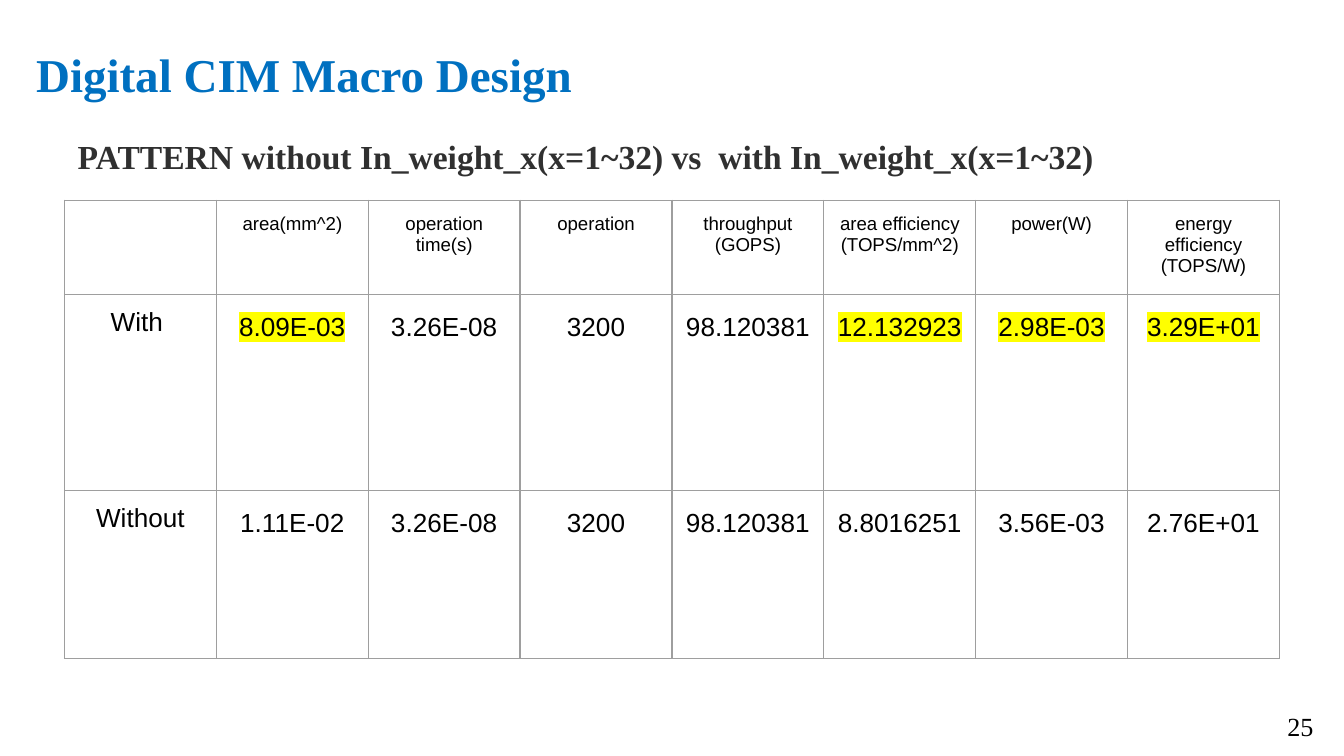
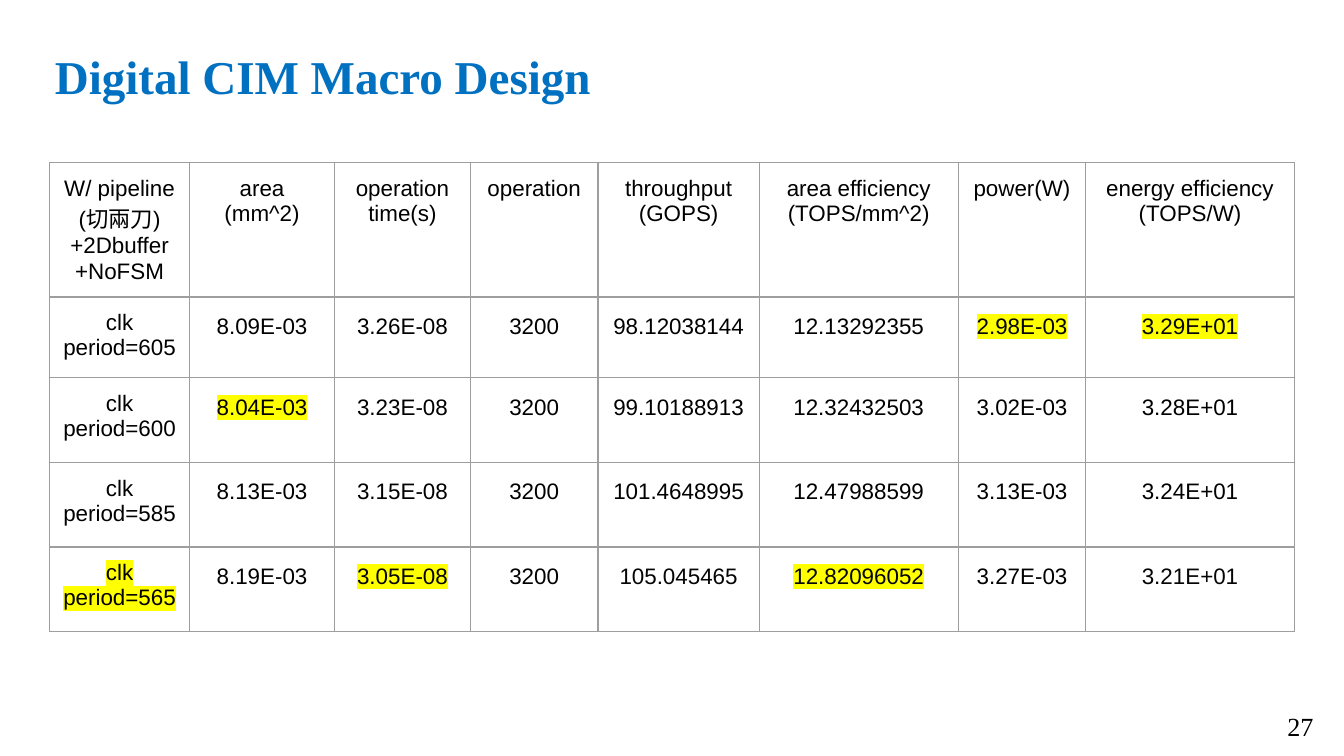
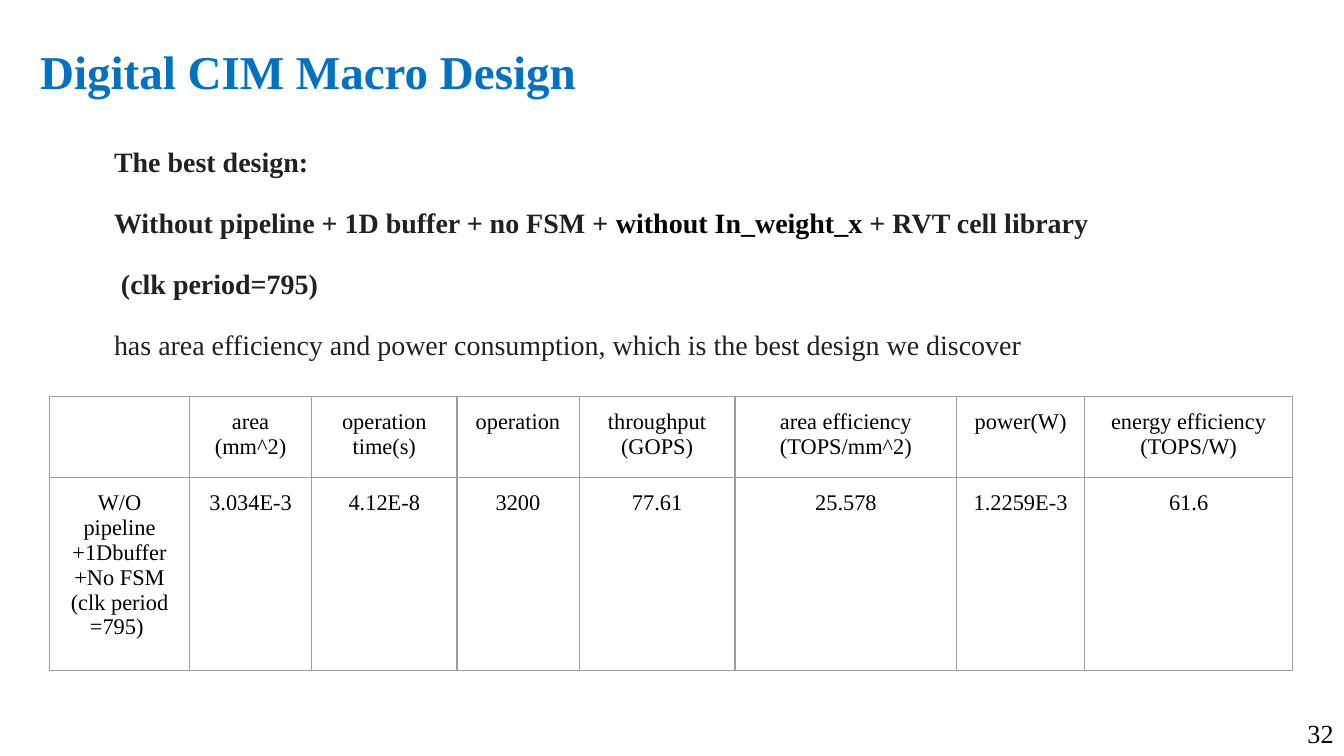
from dataclasses import dataclass
from typing import Optional

from lxml.etree import SubElement
from pptx import Presentation
from pptx.dml.color import RGBColor
from pptx.enum.text import MSO_ANCHOR as Anchor, PP_ALIGN as Align
from pptx.oxml import parse_xml
from pptx.oxml.ns import nsdecls, qn
from pptx.slide import Slide
from pptx.table import _Cell as Cell
from pptx.text.text import TextFrame, _Paragraph as Paragraph
from pptx.util import Inches, Pt

TITLE_BLUE = RGBColor(0x00, 0x70, 0xC0)
SUBTITLE_GREY = RGBColor(0x30, 0x30, 0x30)
BODY_GREY = RGBColor(0x21, 0x21, 0x21)
NEAR_BLACK = RGBColor(0x05, 0x05, 0x05)
BLACK = RGBColor(0x00, 0x00, 0x00)
WHITE = RGBColor(0xFF, 0xFF, 0xFF)
YELLOW = RGBColor(0xFF, 0xFF, 0x00)
GRID_GREY = RGBColor(0x9E, 0x9E, 0x9E)

SERIF = "Times New Roman"
SANS = "Arial"
TITLE = "Digital CIM Macro Design"
SLIDE_WIDTH = Inches(10)
SLIDE_HEIGHT = SLIDE_WIDTH * 9 // 16
PADDING = Inches(0.1)
GRID_WIDTH = Pt(0.75)

METRICS = ("operation time(s)", "operation", "throughput\n(GOPS)",
           "area efficiency\n(TOPS/mm^2)", "power(W)", "energy efficiency\n(TOPS/W)")


@dataclass(frozen=True)
class Style:
    size: float
    color: RGBColor = BLACK
    font: str = SERIF
    bold: bool = False
    highlight: Optional[RGBColor] = None


@dataclass(frozen=True)
class Box:
    left: float
    top: float
    width: float
    height: float


@dataclass(frozen=True)
class ResultTable:
    box: Box
    columns: tuple[float, ...]
    rows: tuple[float, ...]
    cells: tuple[tuple[str, ...], ...]
    font: str
    header_size: float
    body_size: float
    value_spacing: Optional[float] = None
    highlighted: frozenset[tuple[int, int]] = frozenset()
    near_black: frozenset[tuple[int, int]] = frozenset()


@dataclass(frozen=True)
class Page:
    number: str
    title_left: float
    title_top: float
    table: ResultTable
    number_left: float = 9.48
    number_top: float = 5.24


def add_run(paragraph: Paragraph, text: str, style: Style) -> None:
    run = paragraph.add_run()
    run.text = text
    run.font.size = Pt(style.size)
    run.font.bold = style.bold
    run.font.color.rgb = style.color
    if style.highlight is not None:
        marker = SubElement(run.font._element, qn("a:highlight"))
        SubElement(marker, qn("a:srgbClr"), val=str(style.highlight))
    run.font.name = style.font


def next_paragraph(frame: TextFrame, index: int) -> Paragraph:
    return frame.add_paragraph() if index else frame.paragraphs[0]


def add_text_box(slide: Slide, box: Box, vertical_padding: float = 0.1) -> TextFrame:
    frame = slide.shapes.add_textbox(Inches(box.left), Inches(box.top),
                                     Inches(box.width), Inches(box.height)).text_frame
    frame.word_wrap = True
    frame.margin_left = frame.margin_right = PADDING
    frame.margin_top = frame.margin_bottom = Inches(vertical_padding)
    return frame


def draw_borders(cell: Cell) -> None:
    properties = cell._tc.get_or_add_tcPr()
    for position, side in enumerate(("lnL", "lnR", "lnT", "lnB")):
        properties.insert(position, parse_xml(
            f'<a:{side} {nsdecls("a")} w="{GRID_WIDTH}"><a:solidFill>'
            f'<a:srgbClr val="{GRID_GREY}"/></a:solidFill></a:{side}>'))


def fill_cell(cell: Cell, text: str, style: Style, spacing: Optional[float]) -> None:
    cell.margin_left = cell.margin_right = PADDING
    cell.margin_top = cell.margin_bottom = PADDING
    cell.fill.background()
    draw_borders(cell)
    for index, line in enumerate(text.splitlines()):
        paragraph = next_paragraph(cell.text_frame, index)
        paragraph.alignment = Align.CENTER
        paragraph.line_spacing = spacing
        add_run(paragraph, line, style)


def add_result_table(slide: Slide, results: ResultTable) -> None:
    box = results.box
    frame = slide.shapes.add_table(
        len(results.rows), len(results.columns), Inches(box.left), Inches(box.top),
        Inches(box.width), Inches(box.height))
    table = frame.table
    table.first_row = table.horz_banding = False
    for column, width in zip(table.columns, results.columns):
        column.width = Inches(width)
    for row, height in zip(table.rows, results.rows):
        row.height = Inches(height)
    frame.height = Inches(box.height)
    for r, texts in enumerate(results.cells):
        for c, text in enumerate(texts):
            style = Style(
                size=results.body_size if r else results.header_size,
                color=NEAR_BLACK if (r, c) in results.near_black else BLACK,
                font=results.font,
                highlight=YELLOW if (r, c) in results.highlighted else None)
            spacing = results.value_spacing if r and c else None
            fill_cell(table.cell(r, c), text, style, spacing)


def add_page(deck: Presentation, page: Page) -> Slide:
    slide = deck.slides.add_slide(deck.slide_layouts[6])
    slide.background.fill.solid()
    slide.background.fill.fore_color.rgb = WHITE
    title = add_text_box(slide, Box(page.title_left, page.title_top, 9.32, 0.63))
    title.vertical_anchor = Anchor.MIDDLE
    add_run(title.paragraphs[0], TITLE, Style(25.2, TITLE_BLUE, bold=True))
    add_result_table(slide, page.table)
    number = add_text_box(slide, Box(page.number_left, page.number_top, 0.63, 0.34), 0.05)
    add_run(number.paragraphs[0], page.number, Style(14))
    return slide


WEIGHT_INPUT = ResultTable(
    box=Box(0.48, 1.49, 9.05, 3.41),
    columns=(1.13,) * 8,
    rows=(0.51, 1.46, 1.25),
    cells=(
        ("", "area(mm^2)", *METRICS),
        ("With ", "8.09E-03", "3.26E-08", "3200", "98.120381", "12.132923",
         "2.98E-03", "3.29E+01"),
        ("Without", "1.11E-02", "3.26E-08", "3200", "98.120381", "8.8016251",
         "3.56E-03", "2.76E+01"),
    ),
    font=SANS, header_size=10, body_size=14, value_spacing=1.15,
    highlighted=frozenset({(1, 1), (1, 5), (1, 6), (1, 7)}))

CLOCK_PERIODS = ResultTable(
    box=Box(0.37, 1.21, 9.26, 3.7),
    columns=(1.04, 1.08, 1.01, 0.95, 1.2, 1.48, 0.95, 1.55),
    rows=(0.51, 0.51, 0.63, 0.63, 0.63),
    cells=(
        ("W/ pipeline\n(切兩刀)+2Dbuffer\n+NoFSM", "area\n(mm^2)", *METRICS),
        ("clk period=605", "8.09E-03", "3.26E-08", "3200", "98.12038144",
         "12.13292355", "2.98E-03", "3.29E+01"),
        ("clk period=600", "8.04E-03", "3.23E-08", "3200", "99.10188913",
         "12.32432503", "3.02E-03", "3.28E+01"),
        ("clk period=585", "8.13E-03", "3.15E-08", "3200", "101.4648995",
         "12.47988599", "3.13E-03", "3.24E+01"),
        ("clk period=565", "8.19E-03", "3.05E-08", "3200", "105.045465",
         "12.82096052", "3.27E-03", "3.21E+01"),
    ),
    font=SANS, header_size=12, body_size=12, value_spacing=1.15,
    highlighted=frozenset({(1, 6), (1, 7), (2, 1), (4, 0), (4, 2), (4, 5)}),
    near_black=frozenset({(1, 6), (1, 7), (4, 2), (4, 4), (4, 5), (4, 7)}))

BEST_DESIGN = ResultTable(
    box=Box(0.37, 2.95, 9.26, 2.04),
    columns=(1.04, 0.91, 1.08, 0.91, 1.16, 1.65, 0.95, 1.55),
    rows=(0.27, 1.44),
    cells=(
        ("", "area\n(mm^2)", *METRICS),
        ("W/O pipeline\n+1Dbuffer\n+No FSM\n(clk period\n=795) ", "3.034E-3",
         "4.12E-8", "3200", "77.61", "25.578", "1.2259E-3", "61.6"),
    ),
    font=SERIF, header_size=12, body_size=12)


def add_weight_comparison(deck: Presentation) -> None:
    slide = add_page(deck, Page("25", 0.17, 0.23, WEIGHT_INPUT))
    subtitle = add_text_box(slide, Box(0.48, 0.91, 8.72, 1.52))
    add_run(subtitle.paragraphs[0],
            "PATTERN without In_weight_x(x=1~32) vs  with In_weight_x(x=1~32)",
            Style(18, SUBTITLE_GREY, bold=True))


def add_clock_comparison(deck: Presentation) -> None:
    add_page(deck, Page("27", 0.31, 0.25, CLOCK_PERIODS))


def add_best_design(deck: Presentation) -> None:
    slide = add_page(deck, Page("32", 0.2, 0.21, BEST_DESIGN, 9.63, 5.29))
    strong = Style(15, BODY_GREY, bold=True)
    lines = (
        (("The best design:", strong),),
        (("Without pipeline + 1D buffer + no FSM + ", strong),
         ("without In_weight_x ", Style(15, NEAR_BLACK, bold=True)),
         ("+ RVT cell library", strong)),
        ((" (clk period=795)", strong),),
        (("has area efficiency and power consumption, which is the best design we discover",
          Style(15, BODY_GREY)),),
    )
    summary = add_text_box(slide, Box(0.75, 0.94, 9.32, 3.74))
    for index, line in enumerate(lines):
        paragraph = next_paragraph(summary, index)
        paragraph.line_spacing = 1.15
        if index:
            paragraph.space_before = Pt(12)
        for text, style in line:
            add_run(paragraph, text, style)


def main() -> None:
    deck = Presentation()
    deck.slide_width = SLIDE_WIDTH
    deck.slide_height = SLIDE_HEIGHT
    add_weight_comparison(deck)
    add_clock_comparison(deck)
    add_best_design(deck)
    deck.save("out.pptx")


if __name__ == "__main__":
    main()
